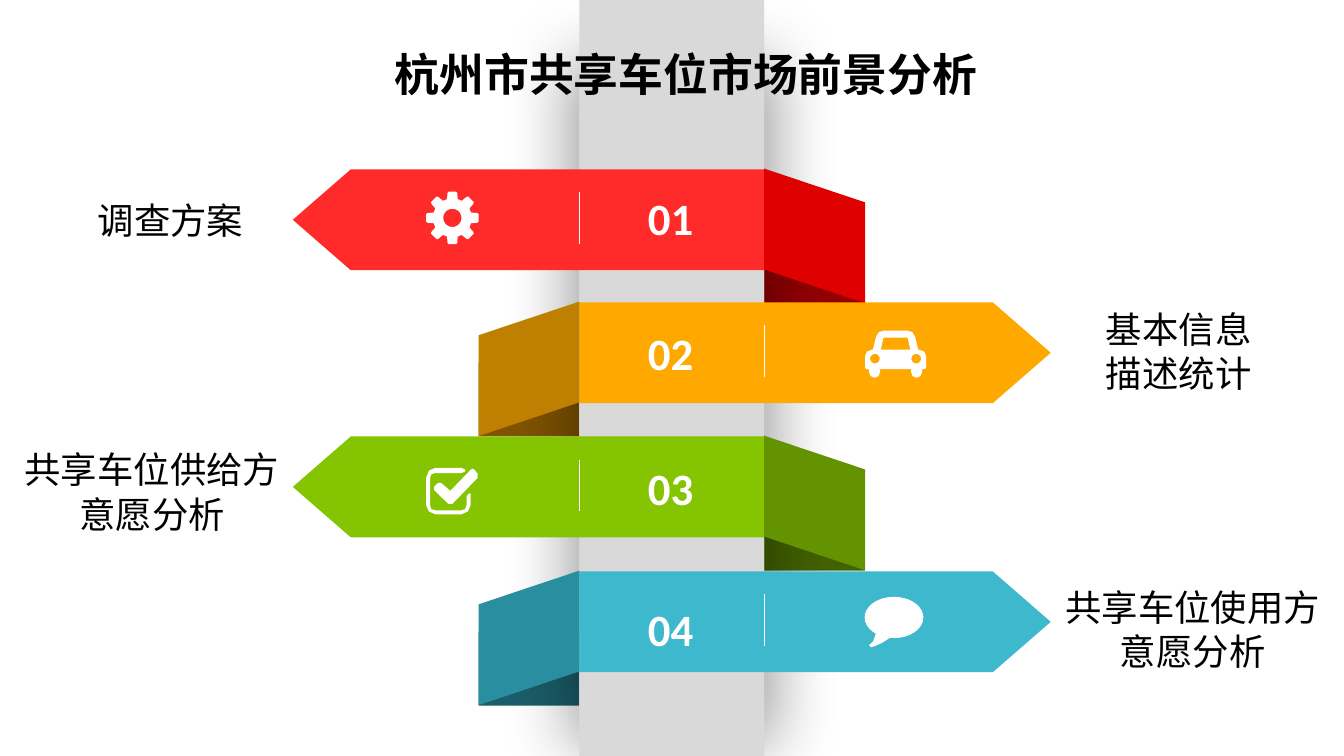
from math import cos, radians, sin

from lxml import etree
from pptx import Presentation
from pptx.dml.color import RGBColor
from pptx.enum.shapes import MSO_CONNECTOR, MSO_SHAPE
from pptx.enum.text import MSO_ANCHOR, PP_ALIGN
from pptx.oxml import parse_xml
from pptx.oxml.ns import qn
from pptx.util import Cm, Pt

RECTANGLE = MSO_SHAPE.RECTANGLE
STRAIGHT = MSO_CONNECTOR.STRAIGHT
MIDDLE, TOP = MSO_ANCHOR.MIDDLE, MSO_ANCHOR.TOP
CENTER, LEFT_ALIGN = PP_ALIGN.CENTER, PP_ALIGN.LEFT
WHITE = RGBColor(0xFF, 0xFF, 0xFF)
BLACK = RGBColor(0x00, 0x00, 0x00)
GREY = RGBColor(0xD9, 0xD9, 0xD9)
RED, RED_FLAP, RED_FOLD = RGBColor(0xFF, 0x2B, 0x2A), RGBColor(0xDF, 0x01, 0x00), RGBColor(0x94, 0x01, 0x00)
GOLD, GOLD_FLAP, GOLD_FOLD = RGBColor(0xFF, 0xA9, 0x00), RGBColor(0xBF, 0x7F, 0x00), RGBColor(0x80, 0x54, 0x00)
GREEN, GREEN_FLAP, GREEN_FOLD = RGBColor(0x85, 0xC4, 0x01), RGBColor(0x64, 0x93, 0x01), RGBColor(0x43, 0x62, 0x00)
TEAL, TEAL_FLAP, TEAL_FOLD = RGBColor(0x3E, 0xB8, 0xCD), RGBColor(0x29, 0x8E, 0x9F), RGBColor(0x1B, 0x5E, 0x6A)
CHINESE, LATIN = "Noto Sans CJK SC", "Calibri"
DRAWING = "http://schemas.openxmlformats.org/drawingml/2006/main"

POST_LEFT, POST_RIGHT, POST_MIDDLE = 14.6, 19.26, 16.93
BAND = 2.54

deck = Presentation()
deck.slide_width, deck.slide_height = Cm(33.87), Cm(19.05)
page = deck.slides.add_slide(deck.slide_layouts[6])


def add_outline(contours, color, left=0, top=0):
    first = contours[0][0]
    builder = page.shapes.build_freeform(Cm(first[0]), Cm(first[1]))
    for index, contour in enumerate(contours):
        points = [(Cm(x), Cm(y)) for x, y in contour]
        if index:
            builder.move_to(*points[0])
        builder.add_line_segments(points[1:], close=True)
    shape = builder.convert_to_shape(Cm(left), Cm(top))
    shape.shadow.inherit = False
    shape.fill.solid()
    shape.fill.fore_color.rgb = color
    shape.line.fill.background()


def add_text(lines, area, size, color, font, bold=False, align=CENTER, anchor=TOP, wrap=True, spacing=None):
    box = page.shapes.add_textbox(*[Cm(length) for length in area])
    frame = box.text_frame
    frame.word_wrap = wrap
    frame.vertical_anchor = anchor
    for index, line in enumerate(lines):
        para = frame.add_paragraph() if index else frame.paragraphs[0]
        para.alignment = align
        para.line_spacing = spacing
        span = para.add_run()
        span.text = line
        span.font.size, span.font.bold, span.font.name = Pt(size), bold, font
        span.font.color.rgb = color
        etree.SubElement(span.font._element, qn("a:ea"), typeface=font)


rows = [
    (4.27, -1, "01", 4.67, RED, RED_FLAP, RED_FOLD, ["调查方案"], (1.8, 4.85, 5.0, 1.37)),
    (7.62, 1, "02", 8.08, GOLD, GOLD_FLAP, GOLD_FOLD, ["基本信息", "描述统计"], (26.85, 7.59, 5.72, 2.46)),
    (11.0, -1, "03", 11.48, GREEN, GREEN_FLAP, GREEN_FOLD, ["共享车位供给方意愿分析"], (0.28, 11.13, 7.11, 2.46)),
    (14.4, 1, "04", 15.04, TEAL, TEAL_FLAP, TEAL_FOLD, ["共享车位使用方", "意愿分析"], (26.49, 14.6, 7.14, 2.46)),
]

blocks = [
    (POST_LEFT - BAND if side > 0 else POST_RIGHT, top + 1.52, BAND, 1.86, fold, None)
    for top, side, number, number_top, band, flap, fold, caption, area in rows
]
blocks += [
    (POST_LEFT, 1.5, POST_MIDDLE - POST_LEFT, 17.27, GREY, 180),
    (POST_MIDDLE, 1.5, POST_RIGHT - POST_MIDDLE, 17.27, GREY, 0),
    (POST_LEFT, 0, POST_RIGHT - POST_LEFT, 19.05, GREY, None),
]
for left, top, width, height, color, shadow_angle in blocks:
    block = page.shapes.add_shape(RECTANGLE, Cm(left), Cm(top), Cm(width), Cm(height))
    block.shadow.inherit = False
    block.fill.solid()
    block.fill.fore_color.rgb = color
    block.line.fill.background()
    if shadow_angle is not None:
        block._element.spPr.find(qn("a:effectLst")).append(parse_xml(
            f'<a:outerShdw xmlns:a="{DRAWING}" blurRad="{Pt(50)}" dist="{Pt(6)}" '
            f'dir="{shadow_angle * 60000}" algn="ctr" rotWithShape="0">'
            '<a:srgbClr val="000000"><a:alpha val="40000"/></a:srgbClr></a:outerShdw>'))

add_text(["杭州市共享车位市场前景分析"], (2.69, 1.02, 29.21, 1.52), 32, BLACK, CHINESE,
         bold=True, anchor=MIDDLE, spacing=Pt(42))

for top, side, number, number_top, band, flap, fold, caption, area in rows:
    base, divider_x = (POST_LEFT, POST_RIGHT) if side > 0 else (POST_RIGHT, POST_LEFT)
    shoulder, tip, outer = base + side * 10.42, base + side * 11.88, base - side * BAND
    add_outline([[(shoulder, top), (base, top), (base, top + BAND),
                  (shoulder, top + BAND), (tip, top + BAND / 2)]], band)
    add_outline([[(base, top - 0.02), (outer, top + 0.83),
                  (outer, top + 3.37), (base, top + 2.52)]], flap)
    add_text([number], (16.08, number_top, 1.68, 1.63), 32, WHITE, LATIN,
             bold=True, align=LEFT_ALIGN, wrap=False)
    divider = page.shapes.add_connector(STRAIGHT, Cm(divider_x), Cm(top + 0.58), Cm(divider_x), Cm(top + 1.88))
    divider.line.color.rgb = WHITE
    divider.line.width = Pt(0.5)
    etree.SubElement(divider._element.spPr, qn("a:effectLst"))
    add_text(caption, area, 26, BLACK, CHINESE, spacing=Pt(31.7))

circle = [(cos(radians(angle)), sin(radians(angle))) for angle in range(0, 360, 10)]

gear = [
    (radius * cos(radians(tooth + offset)), radius * sin(radians(tooth + offset)))
    for tooth in range(0, 360, 45)
    for offset, radius in [(-16, 0.49), (-11, 0.64), (-8, 0.67), (8, 0.67), (11, 0.64), (16, 0.49)]
]
add_outline([gear, [(0.23 * x, 0.23 * y) for x, y in circle]], WHITE, 11.4, 5.49)

car_half = [
    (0.48, 0), (0.35, 0.04), (0.28, 0.15), (0.2, 0.48), (0.18, 0.48), (0.05, 0.53), (0, 0.64),
    (0, 0.94), (0.03, 0.97), (0.1, 0.97), (0.1, 1.04), (0.14, 1.15), (0.25, 1.19),
    (0.34, 1.15), (0.38, 1.04), (0.38, 0.97),
]
window_half = [(0.48, 0.18), (0.46, 0.2), (0.4, 0.48)]
car = [half + [(1.54 - x, y) for x, y in reversed(half)] for half in (car_half, window_half)]
car += [[(lamp + 0.12 * x, 0.71 + 0.12 * y) for x, y in circle] for lamp in (0.25, 1.29)]
add_outline(car, WHITE, 21.8, 8.33)

tick = [
    (1.12, 0.05), (0.61, 0.58), (0.38, 0.38), (0.3, 0.38), (0.2, 0.48), (0.2, 0.56),
    (0.56, 0.91), (0.66, 0.91), (1.3, 0.25), (1.3, 0.15), (1.22, 0.05), (1.17, 0.02),
]
tick_frame = [
    (0.23, 0.13), (0.89, 0.13), (0.97, 0.1), (0.99, 0.05), (0.89, 0), (0.23, 0), (0.07, 0.07),
    (0, 0.25), (0, 0.94), (0.07, 1.1), (0.23, 1.17), (0.89, 1.17), (1.05, 1.1), (1.12, 0.94),
    (1.12, 0.66), (1.09, 0.64), (1.02, 0.71), (1.02, 0.94), (0.98, 1.04), (0.89, 1.07),
    (0.23, 1.07), (0.13, 1.04), (0.1, 0.94), (0.1, 0.25), (0.13, 0.16),
]
for part in (tick, tick_frame):
    add_outline([part], WHITE, 10.74, 11.79)

bubble = [(0.74 * cos(radians(angle)), 0.52 * sin(radians(angle))) for angle in range(128, 459, 10)]
bubble_tail = [(-0.3, 0.64), (-0.48, 0.72), (-0.58, 0.75), (-0.63, 0.7), (-0.53, 0.61)]
add_outline([bubble + bubble_tail], WHITE, 22.53, 15.56)

deck.save("out.pptx")
